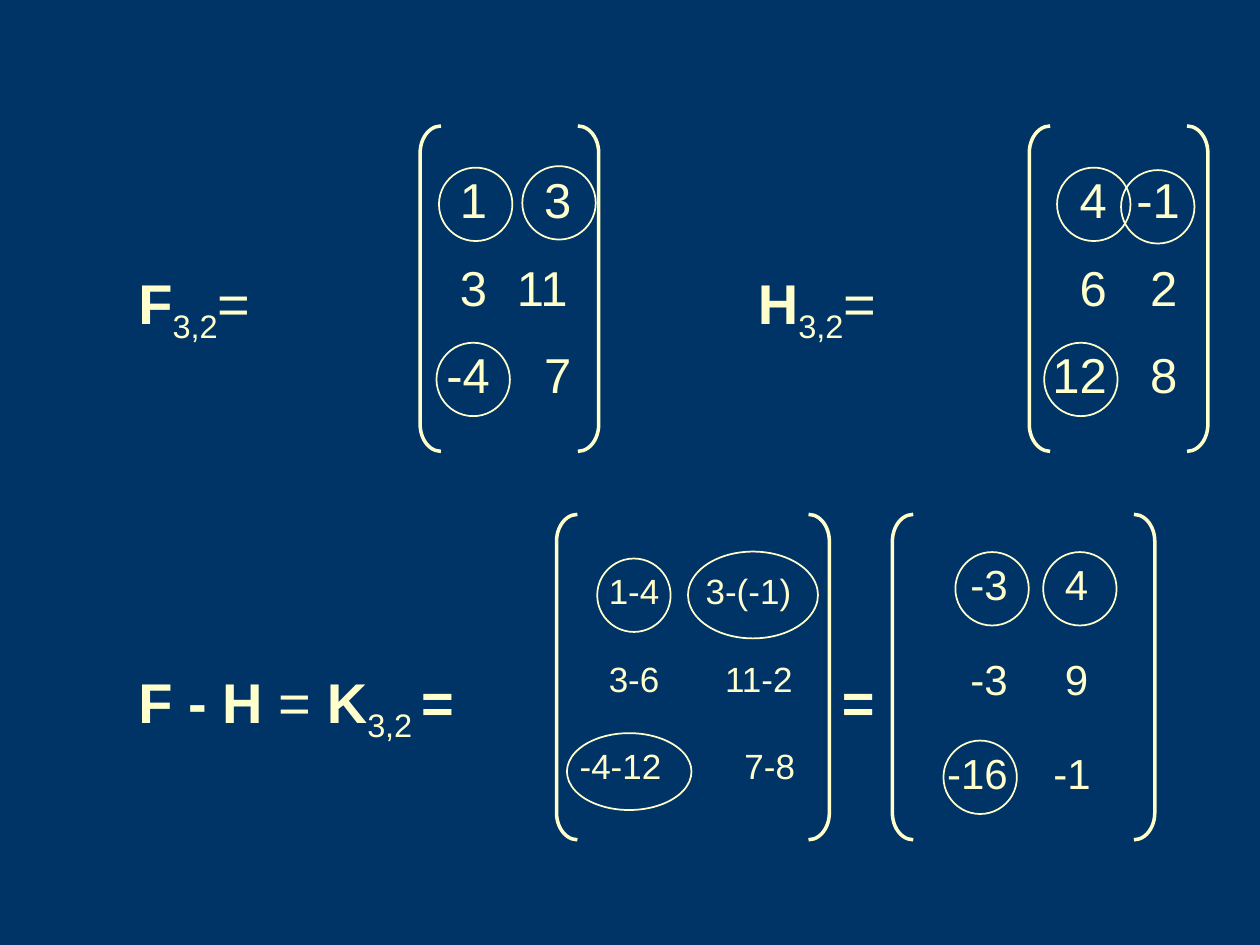
from pptx import Presentation
from pptx import util as u
from pptx.dml import color
from pptx.enum import shapes, text

CREAM = "FFFFCC"
NAVY = "003366"
FONT = "Arial"
NO_STYLE = "{2D5ABB26-0587-4C30-8999-92F81FD0307C}"
SPACE = 0.278
RING = 1.48


def rgb(value):
    """Turn a hex string into a colour."""
    return color.RGBColor.from_string(value)


def add_run(p, content, size, bold=False, sub=False):
    """Add a formatted run to a paragraph."""
    r = p.add_run()
    r.text = content
    r.font.name = FONT
    r.font.size = u.Pt(size)
    r.font.bold = bold
    r.font.color.rgb = rgb(CREAM)
    if sub:
        r.font._element.set("baseline", "-25000")


def add_outline(s, kind, box, width):
    """Add an unfilled preset shape with a cream outline."""
    sp = s.shapes.add_shape(kind, *(u.Cm(v) for v in box))
    sp.shadow.inherit = False
    sp.fill.background()
    sp.line.color.rgb = rgb(CREAM)
    sp.line.width = u.Pt(width)
    return sp


def add_label(s, box, runs):
    """Add an equation label made of (text, bold, subscript) runs."""
    tf = s.shapes.add_textbox(*(u.Cm(v) for v in box)).text_frame
    tf.word_wrap = True
    for content, bold, sub in runs:
        add_run(tf.paragraphs[0], content, 32, bold=bold, sub=sub)


def add_entries(s, box, rows, size):
    """Add the matrix entries, each a text and its indent in space widths."""
    frame = s.shapes.add_table(len(rows), len(rows[0]), *(u.Cm(v) for v in box))
    table = frame.table
    table.first_row = table.horz_banding = False
    table._tbl.tblPr.find("{*}tableStyleId").text = NO_STYLE
    for i, row in enumerate(rows):
        for j, (content, indent) in enumerate(row):
            cell = table.cell(i, j)
            cell.fill.background()
            cell.vertical_anchor = text.MSO_ANCHOR.TOP
            cell.margin_left = u.Inches(0.1) + u.Pt(indent * SPACE * size)
            add_run(cell.text_frame.paragraphs[0], content, size)


def add_matrix(s, box, entries_box, rows, size, rings):
    """Add a bracketed matrix with rings placed relative to its box."""
    x, y, w, h = box
    dx, dy, tw, th = entries_box
    add_entries(s, (x + dx, y + dy, tw, th), rows, size)
    bracket_w = 0.42
    for kind, left in ((shapes.MSO_SHAPE.LEFT_BRACKET, x),
                       (shapes.MSO_SHAPE.RIGHT_BRACKET, x + w - bracket_w)):
        sp = add_outline(s, kind, (left, y, bracket_w, h), 2)
        sp.adjustments[0] = 1.3
    for rx, ry, *ring_size in rings:
        ring_box = (x + rx, y + ry, *(ring_size or (RING, RING)))
        add_outline(s, shapes.MSO_SHAPE.OVAL, ring_box, 1)


def add_operands(s, y):
    """Add the two given matrices with their names."""
    for name, x in (("F", 2.54), ("H", 15.03)):
        add_label(s, (x, y + 2.75, 4.45, 1.8),
                  [(name, True, False), ("3,2", False, True), ("=", False, False)])
    add_matrix(s, (8.47, y, 3.6, 6.56), (0, 0.85, 3.39, 5.29),
               [[("1", 2), ("3", 2)], [("3", 2), ("11", 0)], [("-4", 1), ("7", 2)]],
               28, [(0.38, 0.84), (2.06, 0.81), (0.33, 4.37)])
    add_matrix(s, (20.75, y, 3.6, 6.56), (0.21, 0.85, 3.39, 5.29),
               [[("4", 2), ("-1", 0)], [("6", 2), ("2", 1)], [("12", 0), ("8", 1)]],
               28, [(0.56, 0.84), (1.85, 0.89), (0.3, 4.37)])


def add_difference(s, y):
    """Add the subtraction, worked out entry by entry, and its result."""
    add_label(s, (2.54, y + 2.97, 7.83, 1.8),
              [("F - H ", True, False), ("= ", False, False), ("K", True, False),
               ("3,2 ", False, True), ("=", True, False)])
    add_matrix(s, (11.22, y, 5.5, 6.56), (0.21, 1.06, 5.08, 5.29),
               [[("1-4", 3), ("3-(-1)", 0)], [("3-6", 3), ("11-2", 2)],
                [("-4-12", 0), ("7-8", 4)]],
               20, [(0.82, 0.89), (2.65, 0.75, 2.62, 1.75), (0.21, 4.41, 2.51, 1.55)])
    add_label(s, (16.72, y + 2.97, 1.48, 1.63), [("=", True, False)])
    add_matrix(s, (17.99, y, 5.29, 6.56), (0.85, 0.85, 3.81, 5.72),
               [[("-3", 2), ("4", 2)], [("-3", 2), ("9", 2)], [("-16", 0), ("-1", 1)]],
               24, [(1.27, 0.76), (3.04, 0.76), (1.03, 4.56)])


def main():
    """Build the matrix subtraction slide."""
    prs = Presentation()
    prs.slide_width, prs.slide_height = u.Cm(25.4), u.Cm(19.05)
    s = prs.slides.add_slide(prs.slide_layouts[6])
    s.background.fill.solid()
    s.background.fill.fore_color.rgb = rgb(NAVY)
    add_operands(s, 2.54)
    add_difference(s, 10.37)
    prs.save("out.pptx")


if __name__ == "__main__":
    main()
